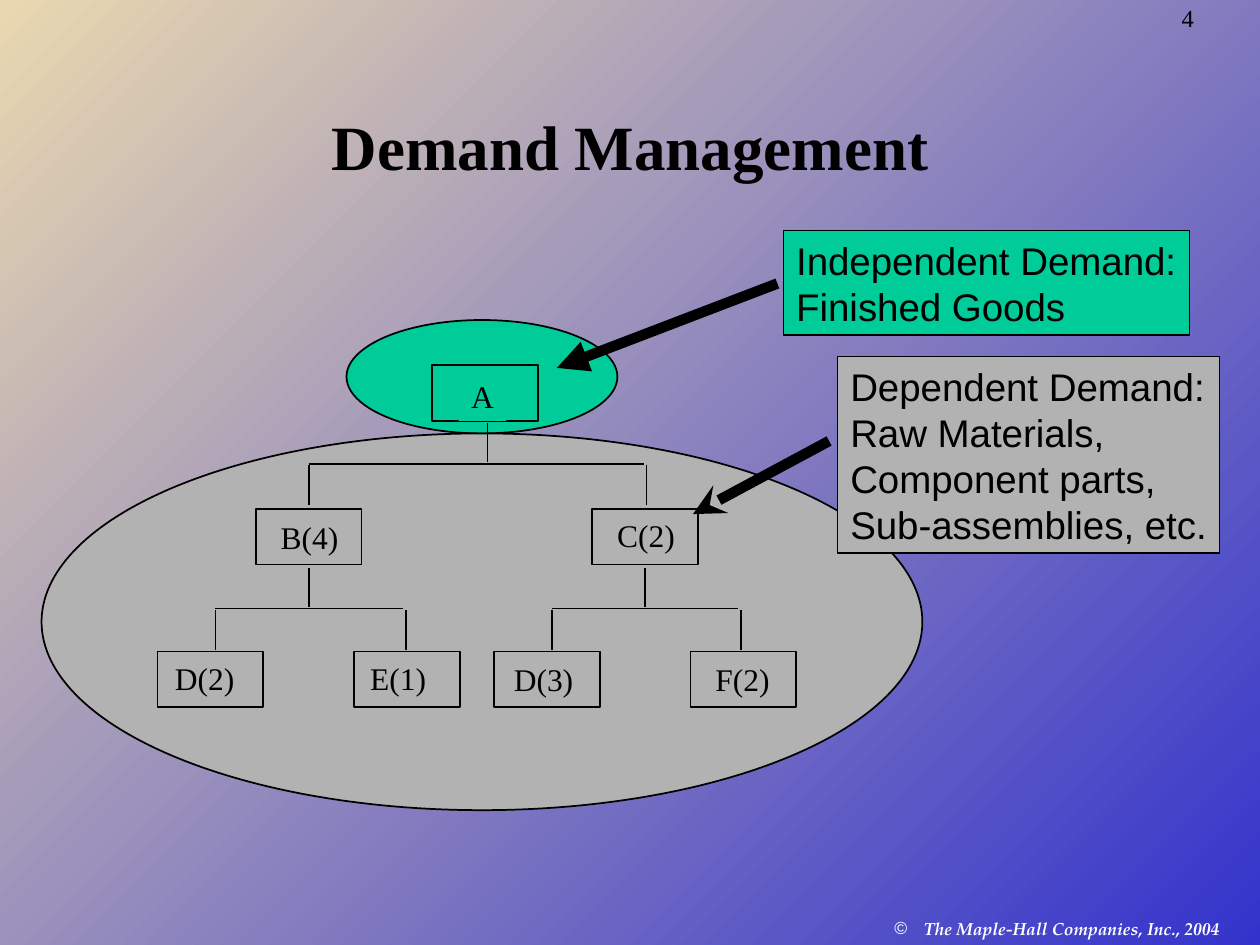
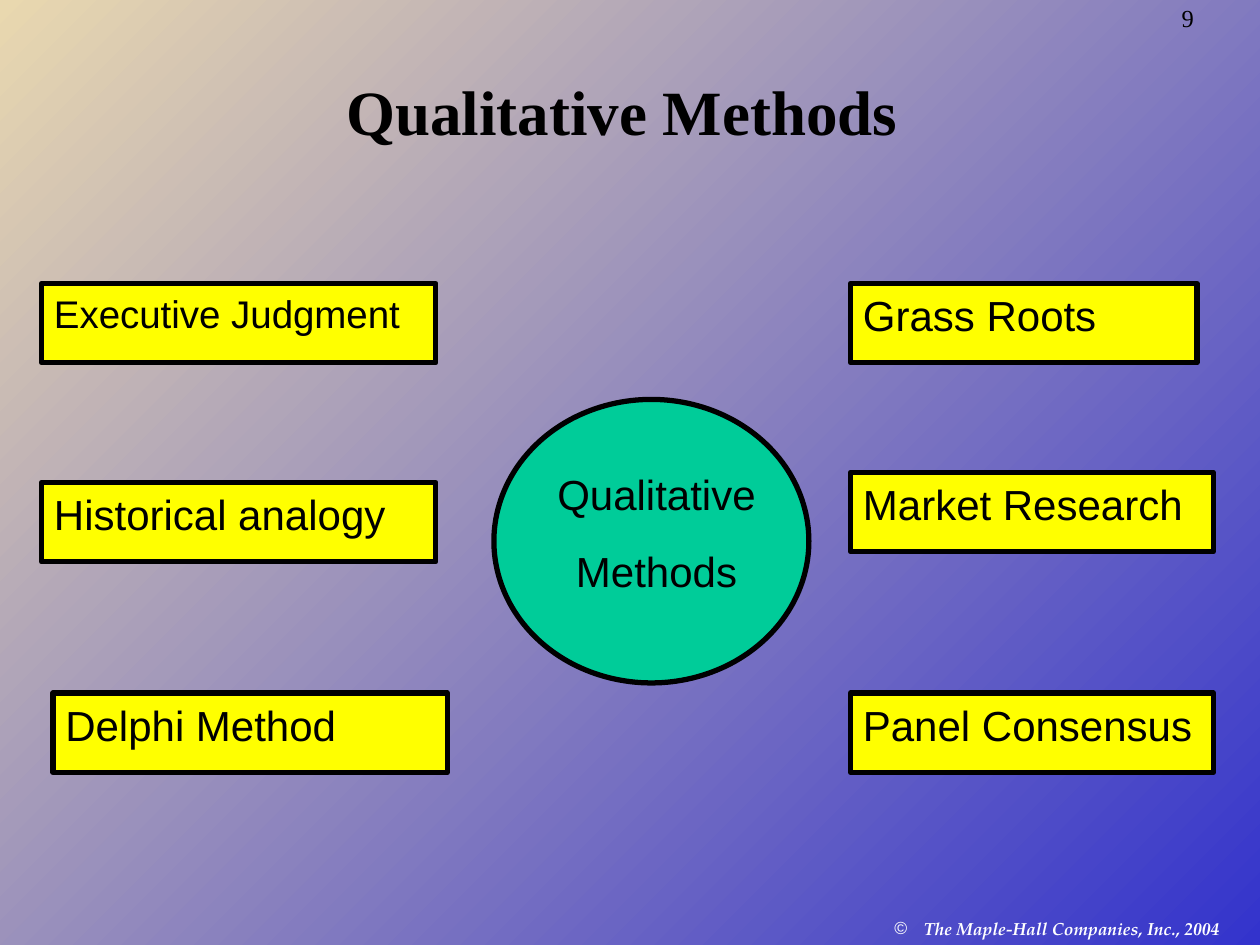
from lxml import etree
from pptx import Presentation
from pptx.dml.color import RGBColor
from pptx.enum.shapes import MSO_CONNECTOR, MSO_SHAPE
from pptx.enum.text import MSO_ANCHOR, MSO_AUTO_SIZE, PP_ALIGN
from pptx.oxml.ns import qn
from pptx.util import Inches, Pt

RECT, OVAL = MSO_SHAPE.RECTANGLE, MSO_SHAPE.OVAL
STRAIGHT = MSO_CONNECTOR.STRAIGHT
TOP, MIDDLE, BOTTOM = MSO_ANCHOR.TOP, MSO_ANCHOR.MIDDLE, MSO_ANCHOR.BOTTOM
LEFT, CENTER = PP_ALIGN.LEFT, PP_ALIGN.CENTER
SERIF, SANS, FOOTER_FONT = "Times New Roman", "Arial", "TeX Gyre Pagella"
BLACK, WHITE, GREEN, GRAY, YELLOW = "000000", "FFFFFF", "00CC99", "B2B2B2", "FFFF00"
BLUE, SAND = "3333CC", "E9D8AF"
rgb = RGBColor.from_string

prs = Presentation()
prs.slide_width, prs.slide_height = Inches(10), Inches(7.5)
# Grid of 100 columns by 75 rows
COL, ROW = prs.slide_width / 100, prs.slide_height / 75


def write(tf, text, size=24, font=SANS, color=BLACK, bold=False, italic=False,
          align=LEFT, anchor=TOP, wrap=True, before=0, spacing=1):
    tf.word_wrap, tf.vertical_anchor, tf.auto_size = wrap, anchor, MSO_AUTO_SIZE.NONE
    for i, line in enumerate(text.split("\n")):
        p = tf.paragraphs[0] if i == 0 else tf.add_paragraph()
        p.alignment, p.space_before, p.line_spacing = align, Pt(before), spacing
        r = p.add_run()
        r.text = line
        r.font.size, r.font.name = Pt(size), font
        r.font.bold, r.font.italic = bold, italic
        r.font.color.rgb = rgb(color)


def add_box(s, x, y, w, h, text="", shape=RECT, fill=None, line=0, **fmt):
    at = round(x * COL), round(y * ROW), round(w * COL), round(h * ROW)
    if fill:
        sp = s.shapes.add_shape(shape, *at)
        sp.shadow.inherit = False
        sp.fill.solid()
        sp.fill.fore_color.rgb = rgb(fill)
        if line:
            sp.line.color.rgb, sp.line.width = rgb(BLACK), Pt(line)
        else:
            sp.line.fill.background()
    else:
        sp = s.shapes.add_textbox(*at)
    if text:
        write(sp.text_frame, text, **fmt)
    return sp


# Shared background
bg = prs.slide_master.background.fill
bg.gradient()
bg.gradient_angle = 135
for stop, color in zip(bg.gradient_stops, (BLUE, SAND)):
    stop.color.rgb = rgb(color)

# Slides with title, page number and footer
slides = []
for title, number, top, height, anchor in (
        ("Demand Management", "4", 6.7, 8.3, BOTTOM),
        ("Qualitative Methods ", "9", 2.5, 12.5, MIDDLE)):
    s = prs.slides.add_slide(prs.slide_layouts[5])
    t = s.shapes.title
    t.left, t.top = round(7.5 * COL), round(top * ROW)
    t.width, t.height = round(85 * COL), round(height * ROW)
    write(t.text_frame, title, size=36, font=SERIF, bold=True, align=CENTER, anchor=anchor)
    add_box(s, 92.8, 0, 7.2, 3.1, number, size=14, font=SERIF, before=3.5, spacing=0.9)
    footer = add_box(s, 70, 72.4, 30, 2.6, "The Maple-Hall Companies, Inc., 2004",
                     size=10, font=FOOTER_FONT, color=WHITE, bold=True, italic=True)
    pPr = footer.text_frame.paragraphs[0]._p.get_or_add_pPr()
    pPr.set("marL", str(round(2.35 * COL)))
    pPr.set("indent", str(-round(2.35 * COL)))
    bu_clr = etree.SubElement(pPr, qn("a:buClr"))
    etree.SubElement(bu_clr, qn("a:srgbClr"), val=WHITE)
    etree.SubElement(pPr, qn("a:buFont"), typeface=SANS)
    etree.SubElement(pPr, qn("a:buChar"), char="©")
    slides.append(s)
demand, methods = slides

# Demand zones: independent above, dependent below
add_box(demand, 27.5, 25.4, 21.5, 9, shape=OVAL, fill=GREEN, line=1)
add_box(demand, 3.3, 34.4, 69.9, 29.9, shape=OVAL, fill=GRAY, line=1)

# Product tree: node position, then label offset and width
for label, x, y, dx, dy, w, fill in (
        ("A", 34.3, 29, 2.1, 0.4, 3.8, GREEN),
        ("B(4)", 20.3, 40.4, 1, 0.2, 6.6, GRAY),
        ("C(2)", 47, 40.4, 1, 0.1, 6.6, GRAY),
        ("D(2)", 12.5, 51.7, 0.4, 0.1, 6.7, GRAY),
        ("E(1)", 28.1, 51.7, 0.3, 0.1, 6.4, GRAY),
        ("D(3)", 39.2, 51.7, 0.6, 0.2, 6.7, GRAY),
        ("F(2)", 54.8, 51.7, 1, 0.2, 6.3, GRAY)):
    add_box(demand, x, y, 8.4, 4.4, fill=fill, line=1)
    add_box(demand, x + dx, y + dy, w, 4, label, fill=fill, size=18, font=SERIF, wrap=False)

# Callouts
add_box(demand, 66.5, 28.3, 30.3, 15.6,
        "Dependent Demand:\nRaw Materials,\nComponent parts,\nSub-assemblies, etc.",
        fill=GRAY, line=0.75, size=22, wrap=False)
add_box(demand, 62.2, 18.3, 32.2, 8.3, "Independent Demand:\nFinished Goods",
        fill=GREEN, line=0.75, size=22, wrap=False)

# Tree branches and callout arrows
lines = [(65.8, 35, 55, 40.8, 6, "stealth"), (61.7, 22.5, 44.2, 29.2, 6, "triangle")]
for stem, left, right, y in ((38.7, 24.5, 51.3, 33.6),
                             (24.5, 17.1, 32.2, 45.1),
                             (51.2, 43.8, 58.8, 45.1)):
    lines += [(stem, y, stem, y + 3.1, 1, None),
              (left, y + 3.2, right - 0.2, y + 3.2, 1, None),
              (left, y + 3.3, left, y + 6.5, 1, None),
              (right, y + 3.3, right, y + 6.5, 1, None)]
for x1, y1, x2, y2, width, arrow in lines:
    c = demand.shapes.add_connector(STRAIGHT, round(x1 * COL), round(y1 * ROW),
                                    round(x2 * COL), round(y2 * ROW))
    c.line.color.rgb, c.line.width = rgb(BLACK), Pt(width)
    if arrow:
        etree.SubElement(c.line._get_or_add_ln(), qn("a:tailEnd"), type=arrow)
    etree.SubElement(c._element.spPr, qn("a:effectLst"))

# Qualitative methods around the centre
for label, x, y, w, size in (
        ("Grass Roots", 67.5, 22.5, 27.5, 24),
        ("Market Research", 67.5, 37.5, 28.8, 24),
        ("Panel Consensus", 67.5, 55, 28.8, 24),
        ("Executive Judgment", 3.3, 22.5, 31.3, 22),
        ("Historical analogy", 3.3, 38.3, 31.3, 24),
        ("Delphi Method", 4.2, 55, 31.3, 24)):
    add_box(methods, x, y, w, 6.3, label, fill=YELLOW, line=3, size=size)
add_box(methods, 39.2, 31.7, 25, 22.5, shape=OVAL, fill=GREEN, line=3)
add_box(methods, 42.5, 36.7, 19.2, 11.1, "Qualitative\nMethods", align=CENTER, before=15)

prs.save("out.pptx")
